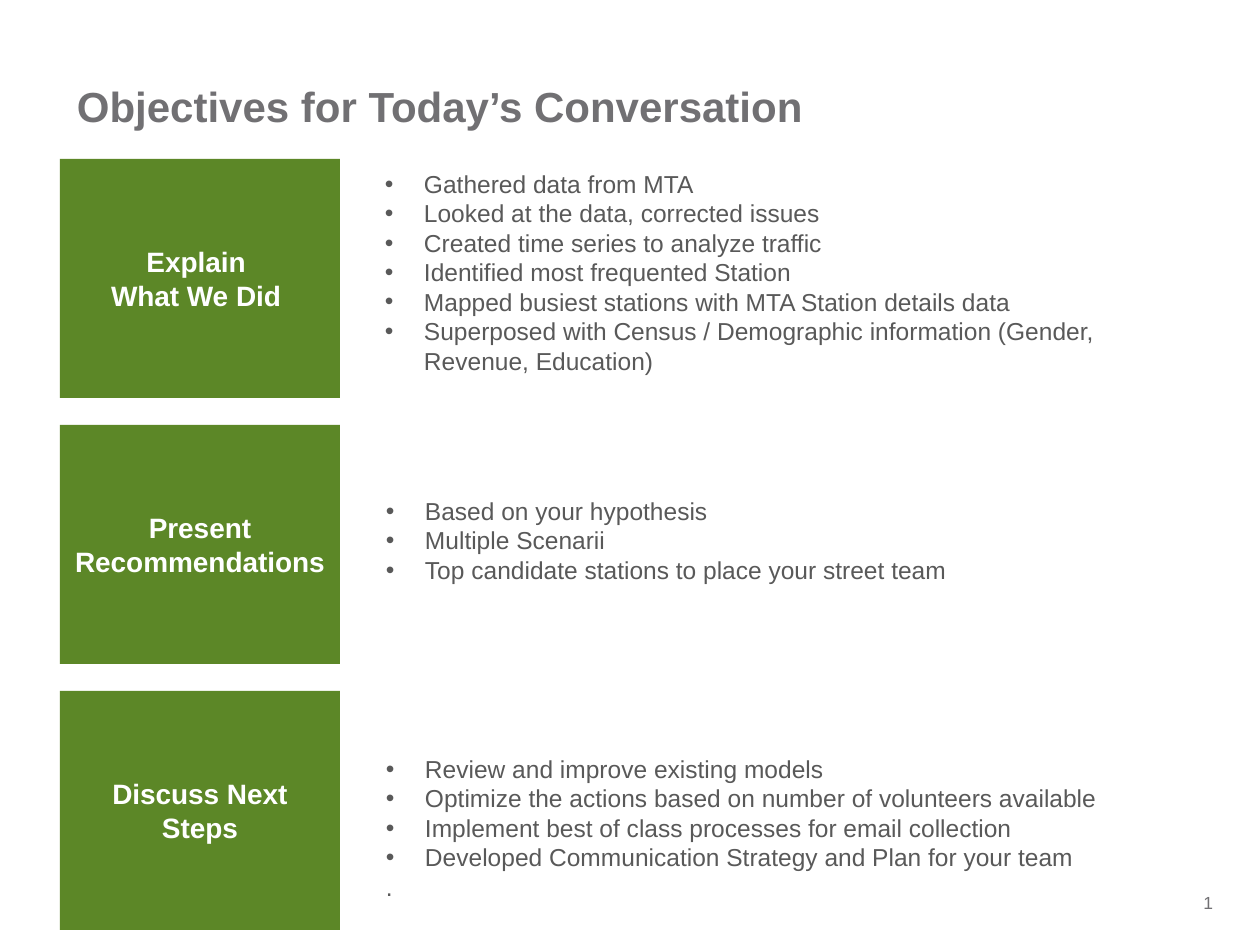
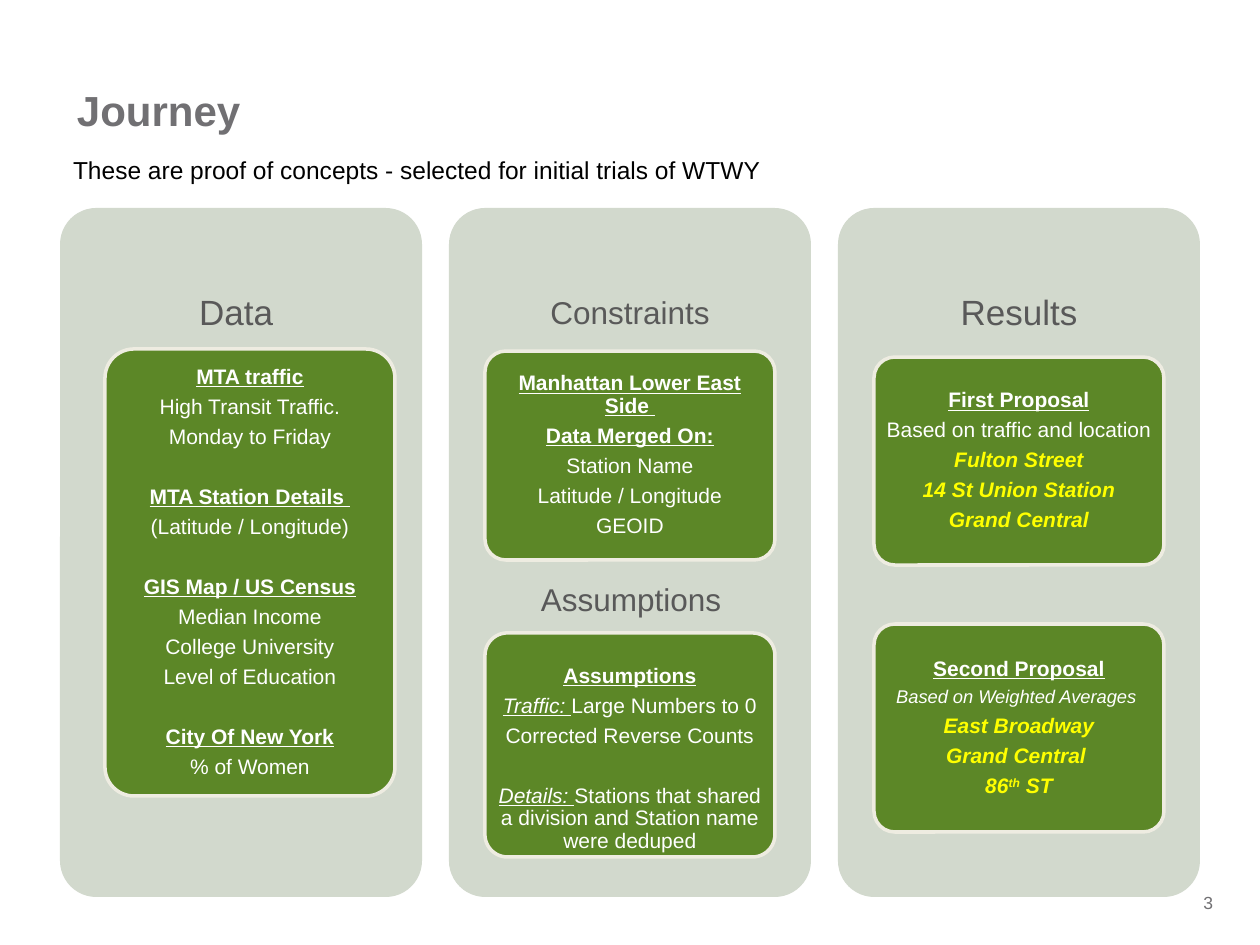
from lxml import etree
from pptx import Presentation
from pptx.dml.color import RGBColor
from pptx.enum.shapes import MSO_SHAPE
from pptx.enum.text import MSO_ANCHOR, PP_ALIGN
from pptx.oxml.ns import qn
from pptx.util import Emu, Pt

RECTANGLE, ROUNDED = MSO_SHAPE.RECTANGLE, MSO_SHAPE.ROUNDED_RECTANGLE
LEFT, CENTER, RIGHT = PP_ALIGN.LEFT, PP_ALIGN.CENTER, PP_ALIGN.RIGHT
TOP, MIDDLE, BOTTOM = MSO_ANCHOR.TOP, MSO_ANCHOR.MIDDLE, MSO_ANCHOR.BOTTOM

COLORS = {
    "green": "5C8727",
    "sage": "D2D9CD",
    "cream": "EEECE1",
    "title": "717073",
    "body": "595959",
    "white": "FFFFFF",
    "yellow": "FFFF00",
    "black": "000000",
}
FONT = "Arial"
PX_PER_INCH = 126
NO_INSETS = (0, 0, 0, 0)
TEXT_INSETS = (13, 6, 13, 6)
CARD_INSETS = (4, 4, 4, 4)
BULLET_INDENT = 39
LINE_GAP = 4.2    # points between the lines of a card
GROUP_GAP = 21.3  # points between the groups of a card


def px(length):
    return Emu(round(length * 914400 / PX_PER_INCH))


def rgb(name):
    return RGBColor.from_string(COLORS[name])


def line(*runs, **paragraph_format):
    """One paragraph: strings or (string, run format) pairs."""
    return [run if isinstance(run, tuple) else (run, {}) for run in runs], paragraph_format


def head(text, **paragraph_format):
    return line((text, {"bold": True, "underline": True}), **paragraph_format)


def place(text):
    return line((text, {"bold": True, "italic": True, "color": "yellow"}))


def label(text):
    return text, {"italic": True, "underline": True}


def add_bullet(paragraph):
    properties = paragraph._p.get_or_add_pPr()
    properties.set("marL", str(px(BULLET_INDENT)))
    properties.set("indent", str(-px(BULLET_INDENT)))
    etree.SubElement(properties, qn("a:buFont")).set("typeface", FONT)
    etree.SubElement(properties, qn("a:buChar")).set("char", "•")


def write_text(shape, lines, size=12, color="white", bold=False, align=LEFT, anchor=TOP,
               insets=TEXT_INSETS, wrap=True, spacing=None, gap=0):
    frame = shape.text_frame
    frame.word_wrap = wrap
    frame.vertical_anchor = anchor
    frame.margin_left, frame.margin_top, frame.margin_right, frame.margin_bottom = map(px, insets)
    for index, entry in enumerate(lines):
        runs, paragraph_format = line(entry) if isinstance(entry, str) else entry
        paragraph = frame.paragraphs[0] if index == 0 else frame.add_paragraph()
        if paragraph_format.get("bullet"):
            add_bullet(paragraph)
        paragraph.alignment = align
        if spacing:
            paragraph.line_spacing = spacing
        if index:
            paragraph.space_before = Pt(paragraph_format.get("gap", gap))
        for text, run_format in runs:
            run = paragraph.add_run()
            run.text = text
            font = run.font
            font.name = FONT
            font.size = Pt(run_format.get("size", size))
            font.bold = run_format.get("bold", bold)
            font.italic = run_format.get("italic", False)
            font.underline = run_format.get("underline", False)
            font.color.rgb = rgb(run_format.get("color", color))
            if run_format.get("superscript"):
                run._r.get_or_add_rPr().set("baseline", "30000")


class Deck:
    def __init__(self):
        self.presentation = Presentation()
        self.presentation.slide_width = px(1260)
        self.presentation.slide_height = px(945)
        self.slide = None

    def add_slide(self, title, title_top, number):
        self.slide = self.presentation.slides.add_slide(self.presentation.slide_layouts[6])
        self.text((77, title_top, 995, 117), [title], size=24, color="title", bold=True,
                  anchor=BOTTOM, insets=NO_INSETS)
        self.text((1120, 892, 93, 50), [number], size=10, color="title", align=RIGHT,
                  insets=NO_INSETS)

    def text(self, box, lines, **text_format):
        write_text(self.slide.shapes.add_textbox(*map(px, box)), lines, **text_format)

    def shape(self, kind, box, fill, outline=None):
        shape = self.slide.shapes.add_shape(kind, *map(px, box))
        shape.shadow.inherit = False
        shape.fill.solid()
        shape.fill.fore_color.rgb = rgb(fill)
        if outline:
            shape.line.color.rgb = rgb(outline)
            shape.line.width = Pt(2)
        else:
            shape.line.fill.background()
        if kind == ROUNDED:
            shape.adjustments[0] = 0.1
        return shape

    def block(self, box, lines):
        write_text(self.shape(RECTANGLE, box, "green"), lines, size=16, bold=True,
                   align=CENTER, anchor=MIDDLE, insets=(13, 13, 13, 13))

    def heading(self, box, text, size, **text_format):
        self.text(box, [text], size=size, color="body", align=CENTER, anchor=MIDDLE,
                  **text_format)

    def panel(self, left, heading, size):
        self.shape(ROUNDED, (left, 208, 362, 689), "sage")
        self.heading((left, 208, 362, 207), heading, size, insets=(10, 10, 10, 10))

    def card(self, box, lines, insets=CARD_INSETS):
        write_text(self.shape(ROUNDED, box, "green", "cream"), lines, align=CENTER,
                   anchor=MIDDLE, insets=insets, spacing=0.9, gap=LINE_GAP)


def add_objectives(deck):
    deck.add_slide("Objectives for Today’s Conversation", 14, "1")
    # Name of the block, box of its points, points, closing line
    objectives = [
        (["Explain ", "What We Did "], (372, 163, 835, 246), [
            "Gathered data from MTA",
            "Looked at the data, corrected issues",
            "Created time series to analyze traffic",
            "Identified most frequented Station",
            "Mapped busiest stations with MTA Station details data",
            "Superposed with Census / Demographic information (Gender, Revenue, Education)",
        ], []),
        (["Present Recommendations"], (373, 490, 835, 102), [
            "Based on your hypothesis",
            "Multiple Scenarii",
            "Top candidate stations to place your street team",
        ], []),
        (["Discuss Next Steps"], (373, 748, 835, 161), [
            "Review and improve existing models",
            "Optimize the actions based on number of volunteers available",
            "Implement best of class processes for email collection",
            "Developed Communication Strategy and Plan for your team",
        ], ["."]),
    ]
    for row, (name, box, points, closing) in enumerate(objectives):
        deck.block((60, 159 + 266 * row, 280, 239), name)
        deck.text(box, [line(point, bullet=True) for point in points] + closing,
                  size=14, color="body")


def add_journey(deck):
    deck.add_slide("Journey", 18, "3")
    deck.text((60, 149, 1140, 43),
              ["These are proof of concepts - selected for initial trials of WTWY"],
              size=14, color="black")

    # Panels
    for column, (heading, size) in enumerate([("Data ", 20), ("Constraints", 18), ("Results", 20)]):
        deck.panel(60 + 389 * column, heading, size)

    # Data
    deck.card((105, 349, 290, 447), [
        head("MTA traffic"),
        "High Transit Traffic.",
        "Monday to Friday",
        head("MTA Station Details ", gap=GROUP_GAP),
        "(Latitude / Longitude)",
        head("GIS Map / US Census", gap=GROUP_GAP),
        "Median Income",
        "College University",
        "Level of Education",
        head("City Of New York", gap=GROUP_GAP),
        "% of Women",
    ])

    # Constraints and assumptions
    deck.card((485, 351, 290, 209), [
        head("Manhattan Lower East Side "),
        head("Data Merged On:"),
        "Station Name",
        "Latitude / Longitude",
        "GEOID",
    ])
    deck.heading((527, 574, 208, 50), "Assumptions", 18, wrap=False)
    deck.card((485, 633, 290, 224), [
        head("Assumptions"),
        line(label("Traffic: "), "Large Numbers to 0"),
        "Corrected Reverse Counts",
        line(label("Details: "), "Stations that shared a division and Station name were deduped",
             gap=GROUP_GAP),
    ], insets=(4, 31, 4, 3))

    # Results
    deck.card((874, 357, 290, 208), [
        head("First Proposal"),
        "Based on traffic and location",
        place("Fulton Street"),
        place("14 St Union Station"),
        place("Grand Central"),
    ])
    street = {"bold": True, "italic": True, "color": "yellow"}
    deck.card((874, 624, 290, 208), [
        head("Second Proposal"),
        line(("Based on Weighted Averages ", {"size": 10.5, "italic": True})),
        place("East Broadway"),
        place("Grand Central "),
        line(("86", street), ("th", {**street, "superscript": True}), (" ST", street)),
    ])


def main():
    deck = Deck()
    add_objectives(deck)
    add_journey(deck)
    deck.presentation.save("out.pptx")


if __name__ == "__main__":
    main()
